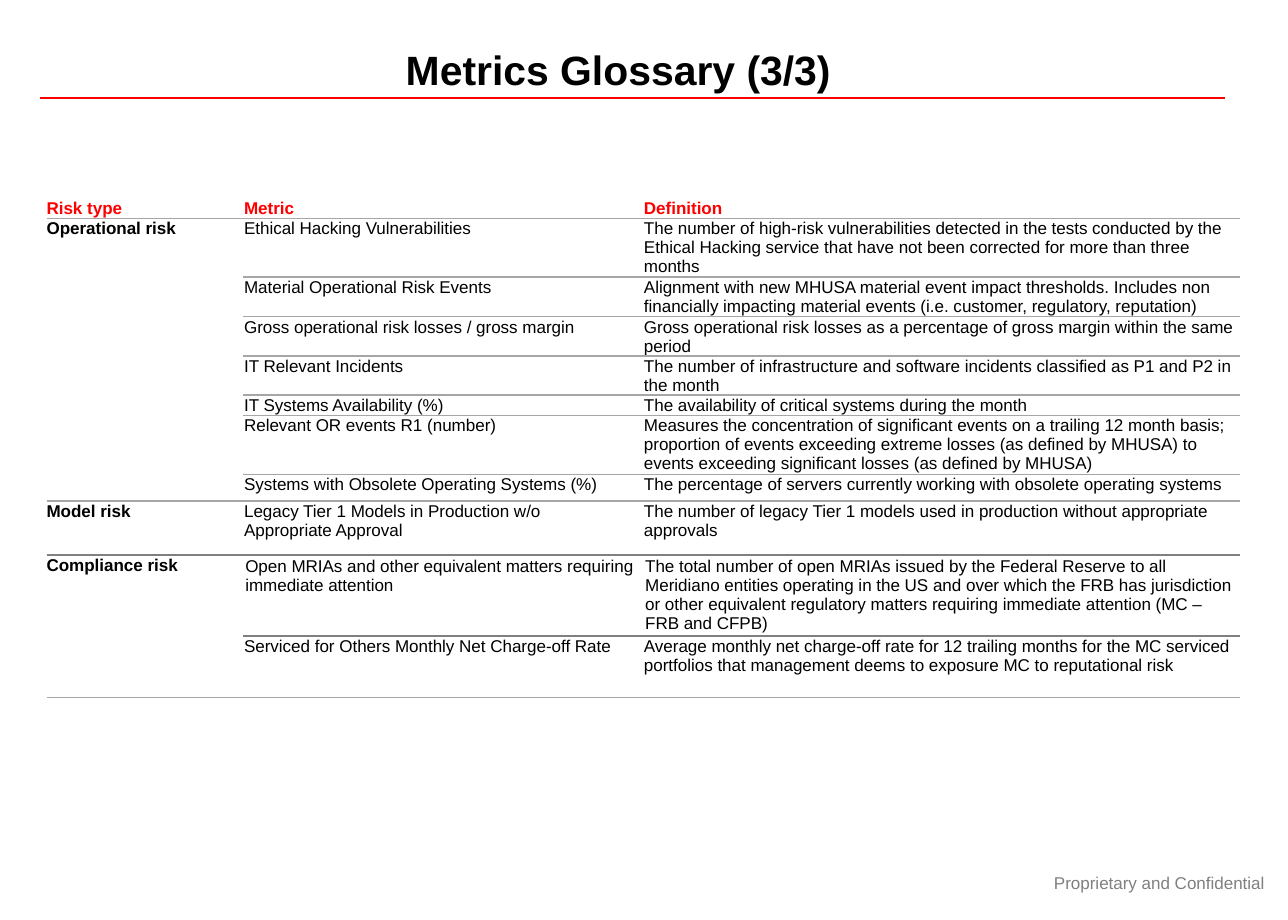
from lxml.etree import SubElement
from pptx import Presentation
from pptx.dml.color import RGBColor
from pptx.enum.shapes import MSO_CONNECTOR as Connector
from pptx.enum.text import MSO_ANCHOR as Anchor, PP_ALIGN as Align
from pptx.oxml import parse_xml
from pptx.oxml.ns import nsdecls, qn
from pptx.util import Inches, Pt

COLORS = {"red": "FF0000", "black": "000000", "rule": "A6A6A6", "divider": "808080", "footer": "808080"}
NO_STYLE = "{2D5ABB26-0587-4C30-8999-92F81FD0307C}"

HEADINGS = ("Risk type", "Metric", "Definition")
COLUMN_WIDTHS = (1.6, 3.26, 4.87)
ROW_HEIGHTS = (0.17, 0.48, 0.32, 0.32, 0.32, 0.16, 0.48, 0.22, 0.44, 0.66, 0.5)
DIVIDER_ROWS = (8, 9)
WIDE_MARGIN_ROW = 9

GLOSSARY = {
    "Operational risk": [
        ("Ethical Hacking Vulnerabilities",
         "The number of high-risk vulnerabilities detected in the tests conducted by the Ethical Hacking "
         "service that have not been corrected for more than three months"),
        ("Material Operational Risk Events",
         "Alignment with new MHUSA material event impact thresholds. Includes non financially impacting "
         "material events (i.e. customer, regulatory, reputation)"),
        ("Gross operational risk losses / gross margin",
         "Gross operational risk losses as a percentage of gross margin within the same period"),
        ("IT Relevant Incidents",
         "The number of infrastructure and software incidents classified as P1 and P2 in the month"),
        ("IT Systems Availability (%)",
         "The availability of critical systems during the month"),
        ("Relevant OR events R1 (number)",
         "Measures the concentration of significant events on a trailing 12 month basis; proportion of "
         "events exceeding extreme losses (as defined by MHUSA) to events exceeding significant losses "
         "(as defined by MHUSA)"),
        ("Systems with Obsolete Operating Systems (%)",
         "The percentage of servers currently working with obsolete operating systems"),
    ],
    "Model risk": [
        ("Legacy Tier 1 Models in Production w/o\nAppropriate Approval",
         "The number of legacy Tier 1 models used in production without appropriate approvals"),
    ],
    "Compliance risk": [
        ("Open MRIAs and other equivalent matters requiring immediate attention",
         "The total number of open MRIAs issued by the Federal Reserve to all Meridiano entities operating "
         "in the US and over which the FRB has jurisdiction or other equivalent regulatory matters "
         "requiring immediate attention (MC – FRB and CFPB)"),
        ("Serviced for Others Monthly Net Charge-off Rate",
         "Average monthly net charge-off rate for 12 trailing months for the MC serviced portfolios that "
         "management deems to exposure MC to reputational risk"),
    ],
}


class GlossarySlide:
    font_name = "Arial"

    def __init__(self, presentation):
        self.slide = presentation.slides.add_slide(presentation.slide_layouts[5])

    def put_text(self, frame, text, size=10, color="black", bold=False, align=Align.LEFT, spacing=1.0):
        frame.text = text
        frame.word_wrap = True
        for paragraph in frame.paragraphs:
            paragraph.alignment = align
            paragraph.line_spacing = spacing
            for run in paragraph.runs:
                run.font.name = self.font_name
                run.font.size = Pt(size)
                run.font.bold = bold
                run.font.color.rgb = RGBColor.from_string(COLORS[color])

    def title(self, text, left, top, width, height):
        title = self.slide.shapes.title
        title.left, title.top, title.width, title.height = map(Inches, (left, top, width, height))
        self.put_text(title.text_frame, text, 24, bold=True, align=Align.CENTER, spacing=0.9)
        title.text_frame.vertical_anchor = Anchor.TOP

    def line(self, left, right, y):
        line = self.slide.shapes.add_connector(
            Connector.STRAIGHT, Inches(left), Inches(y), Inches(right), Inches(y))
        line.line.color.rgb = RGBColor.from_string(COLORS["red"])
        line.line.width = Pt(1)
        SubElement(line._element.spPr, qn("a:effectLst"))

    def footer(self, text, left, top, width, height):
        footer = self.slide.shapes.add_textbox(*map(Inches, (left, top, width, height)))
        self.put_text(footer.text_frame, text, color="footer", align=Align.CENTER)
        footer.text_frame.vertical_anchor = Anchor.MIDDLE

    def border(self, cell, side, color):
        properties = cell._tc.get_or_add_tcPr()
        properties.insert(0, parse_xml(
            f'<a:{side} {nsdecls("a")} w="{Pt(1)}"><a:solidFill>'
            f'<a:srgbClr val="{COLORS[color]}"/></a:solidFill></a:{side}>'))

    def rule_color(self, row):
        return "divider" if row in DIVIDER_ROWS else "rule"

    def rules(self, cell, first, last):
        self.border(cell, "lnB", self.rule_color(last))
        if first:
            self.border(cell, "lnT", self.rule_color(first - 1))

    def cell(self, cell, text, margin=0.01, left=0.01, **style):
        cell.margin_left = Inches(left)
        cell.margin_top = cell.margin_right = Inches(margin)
        cell.margin_bottom = Inches(margin if margin > 0.01 else 0)
        self.put_text(cell.text_frame, text, **style)

    def table(self, left, top):
        frame = self.slide.shapes.add_table(
            len(ROW_HEIGHTS), len(COLUMN_WIDTHS), Inches(left), Inches(top),
            Inches(sum(COLUMN_WIDTHS)), Inches(sum(ROW_HEIGHTS)))
        table = frame.table
        table.first_row = table.horz_banding = False
        table._tbl.tblPr.find(qn("a:tableStyleId")).text = NO_STYLE
        for column, width in zip(table.columns, COLUMN_WIDTHS):
            column.width = Inches(width)
        for row, height in zip(table.rows, ROW_HEIGHTS):
            row.height = Inches(height)
        for cell in table.iter_cells():
            cell.fill.background()

        for column, heading in enumerate(HEADINGS):
            cell = table.cell(0, column)
            self.cell(cell, heading, left=0.01 if column else 0, color="red", bold=True)
            cell.vertical_anchor = Anchor.MIDDLE
            self.rules(cell, 0, 0)

        first = 1
        for risk, metrics in GLOSSARY.items():
            last = first + len(metrics) - 1
            risk_cell = table.cell(first, 0)
            if last > first:
                risk_cell.merge(table.cell(last, 0))
                self.border(table.cell(last, 0), "lnB", self.rule_color(last))
            self.cell(risk_cell, risk, left=0, bold=True)
            self.rules(risk_cell, first, last)
            for row, texts in enumerate(metrics, first):
                margin = 0.02 if row == WIDE_MARGIN_ROW else 0.01
                for column, text in enumerate(texts, 1):
                    cell = table.cell(row, column)
                    self.cell(cell, text, margin, margin)
                    self.rules(cell, row, row)
            first = last + 1


def main():
    presentation = Presentation()
    presentation.slide_width = Inches(10.5)
    presentation.slide_height = Inches(7.5)
    page = GlossarySlide(presentation)
    page.line(0.33, 9.99, 0.8)
    page.title("Metrics Glossary (3/3)", 0.3, 0.36, 9.48, 0.48)
    page.table(0.38, 1.61)
    page.footer("Proprietary and Confidential", 8.4, 7, 2.1, 0.4)
    presentation.save("out.pptx")


if __name__ == "__main__":
    main()
